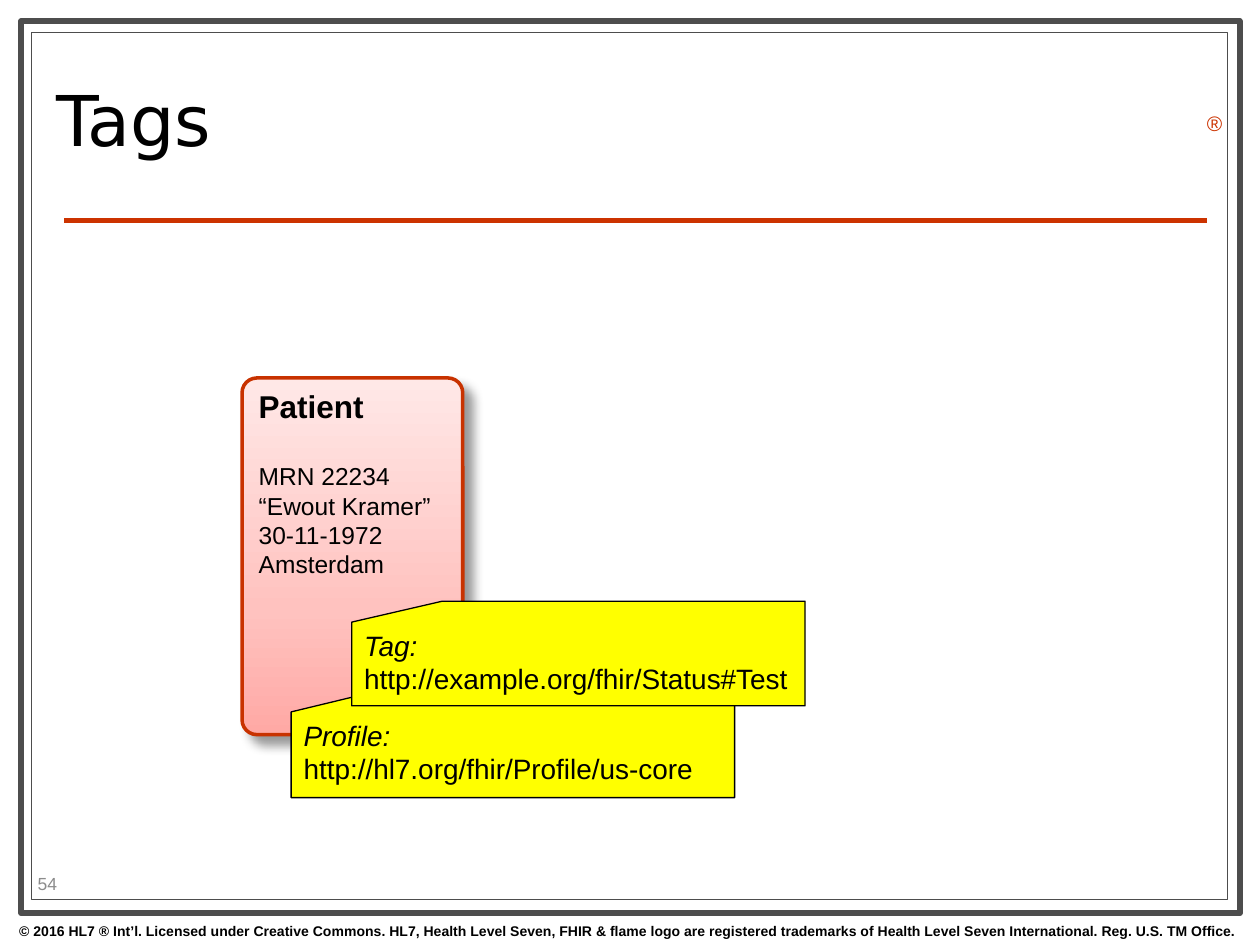
"""Build the "Tags" slide: a patient card carrying a profile and a tag label."""
from dataclasses import dataclass

import lxml.etree
import pptx
import pptx.dml.color
import pptx.enum.shapes
import pptx.enum.text
import pptx.oxml
import pptx.oxml.ns
import pptx.util

Cm = pptx.util.Cm
Pt = pptx.util.Pt
SHAPE = pptx.enum.shapes.MSO_SHAPE
ALIGN = pptx.enum.text.PP_ALIGN
ANCHOR = pptx.enum.text.MSO_ANCHOR


@dataclass(frozen=True)
class Theme:
    font: str = "Arial"
    title_font: str = "DejaVu Sans"
    ink: str = "000000"
    paper: str = "FFFFFF"
    frame: str = "4D4D4D"
    accent: str = "CC3300"
    muted: str = "8C8C8C"
    label: str = "FFFF00"
    card_line: str = "C83200"
    card_stops: tuple = ((0, "FFA9A5"), (35, "FFC2BF"), (100, "FFE8E7"))
    title: float = 40
    heading: float = 18
    label_text: float = 16
    body: float = 14
    mark: float = 12
    number: float = 10
    legal: float = 8


@dataclass(frozen=True)
class Box:
    left: float
    top: float
    width: float
    height: float

    def lengths(self) -> tuple:
        return tuple(Cm(v) for v in (self.left, self.top, self.width, self.height))


@dataclass(frozen=True)
class Label:
    box: Box
    kind: str
    url: str


THEME = Theme()
FRAMES = ((Box(0.43, 0.43, 24.56, 17.98), 3.5), (Box(0.64, 0.66, 24.1, 17.48), 0.75))
LABELS = (
    Label(Box(5.87, 13.92, 8.94, 2.16), "Profile:", "http://hl7.org/fhir/Profile/us-core"),
    Label(Box(7.09, 12.12, 9.14, 2.11), "Tag:", "http://example.org/fhir/Status#Test"),
)
PATIENT = ("MRN 22234", "“Ewout Kramer”", "30-11-1972", "Amsterdam")
LEGAL = (
    "© 2016 HL7 ® Int’l. Licensed under Creative Commons. HL7, Health Level Seven, "
    "FHIR & flame logo are registered trademarks of Health Level Seven International. "
    "Reg. U.S. TM Office."
)


def rgb(value: str) -> pptx.dml.color.RGBColor:
    return pptx.dml.color.RGBColor.from_string(value)


def add_run(p, text: str, *, size: float, color: str = THEME.ink, font: str = THEME.font,
            bold: bool = False, italic: bool = False) -> None:
    """Append formatted text to a paragraph."""
    r = p.add_run()
    r.text = text
    r.font.name, r.font.size = font, Pt(size)
    r.font.bold, r.font.italic = bold, italic
    r.font.color.rgb = rgb(color)


def add_text(s, box: Box, text: str, *, anchor=ANCHOR.TOP, align=ALIGN.LEFT,
             spacing: float = 1.0, **style) -> None:
    """Add a text box holding one paragraph."""
    tf = s.shapes.add_textbox(*box.lengths()).text_frame
    tf.word_wrap, tf.vertical_anchor = True, anchor
    p = tf.paragraphs[0]
    p.alignment, p.line_spacing = align, spacing
    add_run(p, text, **style)


def add_box(s, kind, box: Box, *, fill: str, line: str, weight: float):
    """Add a flat preset shape with text set from its top left."""
    sp = s.shapes.add_shape(kind, *box.lengths())
    sp.shadow.inherit = False
    sp.fill.solid()
    sp.fill.fore_color.rgb = rgb(fill)
    sp.line.color.rgb = rgb(line)
    sp.line.width = Pt(weight)
    sp.text_frame.word_wrap = True
    sp.text_frame.vertical_anchor = ANCHOR.TOP
    sp.text_frame.paragraphs[0].alignment = ALIGN.LEFT
    return sp


def add_rule(s, left: float, right: float, y: float) -> None:
    """Draw the rule under the title."""
    c = s.shapes.add_connector(pptx.enum.shapes.MSO_CONNECTOR.STRAIGHT,
                               Cm(left), Cm(y), Cm(right), Cm(y))
    c.line.color.rgb = rgb(THEME.accent)
    c.line.width = Pt(3)
    lxml.etree.SubElement(c._element.spPr, pptx.oxml.ns.qn("a:effectLst"))


def style_card(sp) -> None:
    """Give the card its gradient and soft shadow."""
    ns = pptx.oxml.ns.nsdecls("a")
    stops = "".join(f'<a:gs pos="{pos * 1000}"><a:srgbClr val="{color}"/></a:gs>'
                    for pos, color in THEME.card_stops)
    grad = pptx.oxml.parse_xml(f'<a:gradFill {ns} rotWithShape="1"><a:gsLst>{stops}</a:gsLst>'
                               '<a:lin ang="16200000" scaled="0"/></a:gradFill>')
    shadow = pptx.oxml.parse_xml(
        f'<a:outerShdw {ns} blurRad="{Pt(6)}" dist="{Pt(7)}" dir="2700000" algn="tl" '
        f'rotWithShape="0"><a:srgbClr val="{THEME.ink}"><a:alpha val="40000"/>'
        '</a:srgbClr></a:outerShdw>')
    spPr = sp._element.spPr
    solid = spPr.find(pptx.oxml.ns.qn("a:solidFill"))
    spPr.replace(solid, grad)
    spPr.find(pptx.oxml.ns.qn("a:effectLst")).append(shadow)


def add_patient(s, box: Box) -> None:
    """Draw the patient card."""
    sp = add_box(s, SHAPE.ROUNDED_RECTANGLE, box, fill=THEME.paper,
                 line=THEME.card_line, weight=2)
    sp.adjustments[0] = 0.067
    style_card(sp)
    tf = sp.text_frame
    tf.margin_top = Cm(0.1)
    add_run(tf.paragraphs[0], "Patient", size=THEME.heading, bold=True)
    for i, detail in enumerate(PATIENT):
        p = tf.add_paragraph()
        p.alignment = ALIGN.LEFT
        p.space_before = Pt(0 if i else 20.7)
        add_run(p, detail, size=THEME.body)


def add_label(s, label: Label) -> None:
    """Draw one yellow label."""
    sp = add_box(s, SHAPE.FLOWCHART_CARD, label.box, fill=THEME.label,
                 line=THEME.ink, weight=0.75)
    p = sp.text_frame.paragraphs[0]
    add_run(p, label.kind, size=THEME.label_text, italic=True)
    p.add_line_break()
    add_run(p, label.url, size=THEME.label_text)


def main() -> None:
    prs = pptx.Presentation()
    prs.slide_width, prs.slide_height = Cm(25.4), Cm(19.05)
    s = prs.slides.add_slide(prs.slide_layouts[6])
    for box, weight in FRAMES:
        add_box(s, SHAPE.RECTANGLE, box, fill=THEME.paper, line=THEME.frame, weight=weight)
    add_rule(s, 1.3, 24.33, 4.45)
    add_text(s, Box(-0.03, 18.47, 25.4, 0.58), LEGAL, align=ALIGN.CENTER,
             size=THEME.legal, bold=True)
    add_text(s, Box(24.08, 2.11, 0.79, 0.76), "®", size=THEME.mark, color=THEME.accent)
    add_text(s, Box(0.89, 0.91, 18.21, 3.28), "Tags", anchor=ANCHOR.MIDDLE, spacing=0.8,
             size=THEME.title, font=THEME.title_font)
    add_text(s, Box(0.51, 17.5, 2.01, 0.61), "54", anchor=ANCHOR.MIDDLE,
             size=THEME.number, color=THEME.muted)
    add_patient(s, Box(4.88, 7.62, 4.45, 7.19))
    for label in LABELS:
        add_label(s, label)
    prs.save("out.pptx")


if __name__ == "__main__":
    main()
